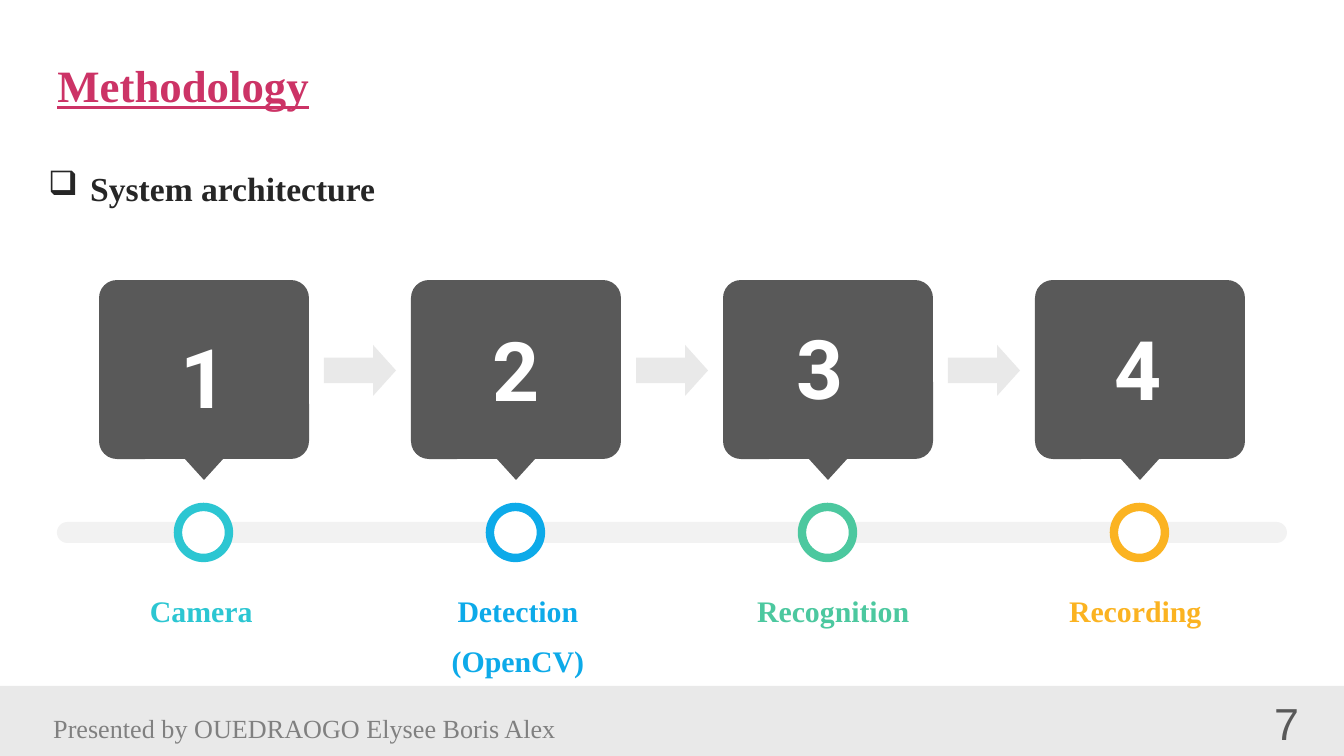
"""Build the Methodology slide: four numbered steps on a timeline."""
from lxml.etree import SubElement
from pptx import Presentation
from pptx.dml.color import RGBColor
from pptx.enum.shapes import MSO_SHAPE
from pptx.enum.text import MSO_ANCHOR, MSO_AUTO_SIZE, PP_ALIGN
from pptx.oxml.ns import qn
from pptx.util import Emu, Pt

PX = 914400 / 134.4
SERIF = "Times New Roman"
PITCH = 312
STEPS = [
    ("Camera ", "2CC6D2", 98, 40, 320),
    ("Detection (OpenCV)", "0DAAE9", 411, 352, 313),
    ("Recognition ", "4CC89F", 730, 656, 311),
    ("Recording ", "FBB321", 1032, 974, 312),
]


def add_shape(parent, kind, box, fill, line=None, adj=()):
    sp = parent.add_shape(kind, *[Emu(round(v * PX)) for v in box])
    sp.shadow.inherit = False
    sp.fill.solid()
    sp.fill.fore_color.rgb = RGBColor.from_string(fill)
    if line:
        sp.line.color.rgb = RGBColor.from_string(line)
        sp.line.width = Pt(4.5)
    else:
        sp.line.fill.background()
    for i, value in enumerate(adj):
        sp.adjustments[i] = value
    return sp


def add_text(box, text, size, color, font=SERIF, bold=False, align=PP_ALIGN.LEFT, sp=None):
    sp = sp or s.shapes.add_textbox(0, 0, 0, 0)
    sp.left, sp.top, sp.width, sp.height = [Emu(round(v * PX)) for v in box]
    tf = sp.text_frame
    tf.word_wrap = True
    tf.auto_size = MSO_AUTO_SIZE.NONE
    tf.vertical_anchor = MSO_ANCHOR.TOP
    p = tf.paragraphs[0]
    p.alignment = align
    r = p.add_run()
    r.text = text
    r.font.size = Pt(size)
    r.font.name = font
    r.font.bold = bold
    r.font.color.rgb = RGBColor.from_string(color)
    return tf


prs = Presentation()
prs.slide_width, prs.slide_height = Emu(round(1344 * PX)), Emu(round(756 * PX))
s = prs.slides.add_slide(prs.slide_layouts[5])

tf = add_text((44, 51, 302, 67), "Methodology", 24, "CC3366", bold=True, sp=s.shapes.title)
tf.paragraphs[0].runs[0].font.underline = True

tf = add_text((35, 161, 672, 54), "System architecture", 18, "262626", bold=True)
pPr = tf.paragraphs[0]._p.get_or_add_pPr()
indent = round(42 * PX)
pPr.set("marL", str(indent))
pPr.set("indent", str(-indent))
SubElement(pPr, qn("a:buChar")).set("char", "❑")

add_shape(s.shapes, MSO_SHAPE.ROUNDED_RECTANGLE, (57, 522, 1230, 21), "F2F2F2", adj=[0.5])
add_shape(s.shapes, MSO_SHAPE.RECTANGLE, (0, 686, 1344, 70), "E9E9E9")

for i, (label, color, label_x, digit_x, digit_y) in enumerate(STEPS):
    x = 99 + i * PITCH
    card = s.shapes.add_group_shape().shapes
    add_shape(card, MSO_SHAPE.ROUNDED_RECTANGLE, (x, 280, 210, 179), "595959", adj=[0.1])
    pointer = add_shape(card, MSO_SHAPE.ISOSCELES_TRIANGLE, (x + 85, 458, 40, 22), "595959")
    pointer.rotation = 180
    add_shape(s.shapes, MSO_SHAPE.OVAL, (x + 79, 507, 51, 51), "FFFFFF", line=color)
    if i < len(STEPS) - 1:
        add_shape(s.shapes, MSO_SHAPE.RIGHT_ARROW, (x + 225, 345, 72, 51), "E9E9E9", adj=[0.5, 0.45])
    add_text((digit_x, digit_y, 328, 112), str(i + 1), 44, "FFFFFF", "Roboto", True, PP_ALIGN.CENTER)
    tf = add_text((label_x, 578, 214, 100), label, 16, color, bold=True, align=PP_ALIGN.CENTER)
    tf.margin_left = tf.margin_top = tf.margin_right = tf.margin_bottom = 0
    tf.paragraphs[0].line_spacing = 1.4
    tf.paragraphs[0].space_after = Pt(6)

add_text((40, 706, 548, 45), "Presented by OUEDRAOGO Elysee Boris Alex", 14, "808080")
add_text((1261, 689, 83, 67), "7", 24, "595959", "Arial")

prs.save("out.pptx")
